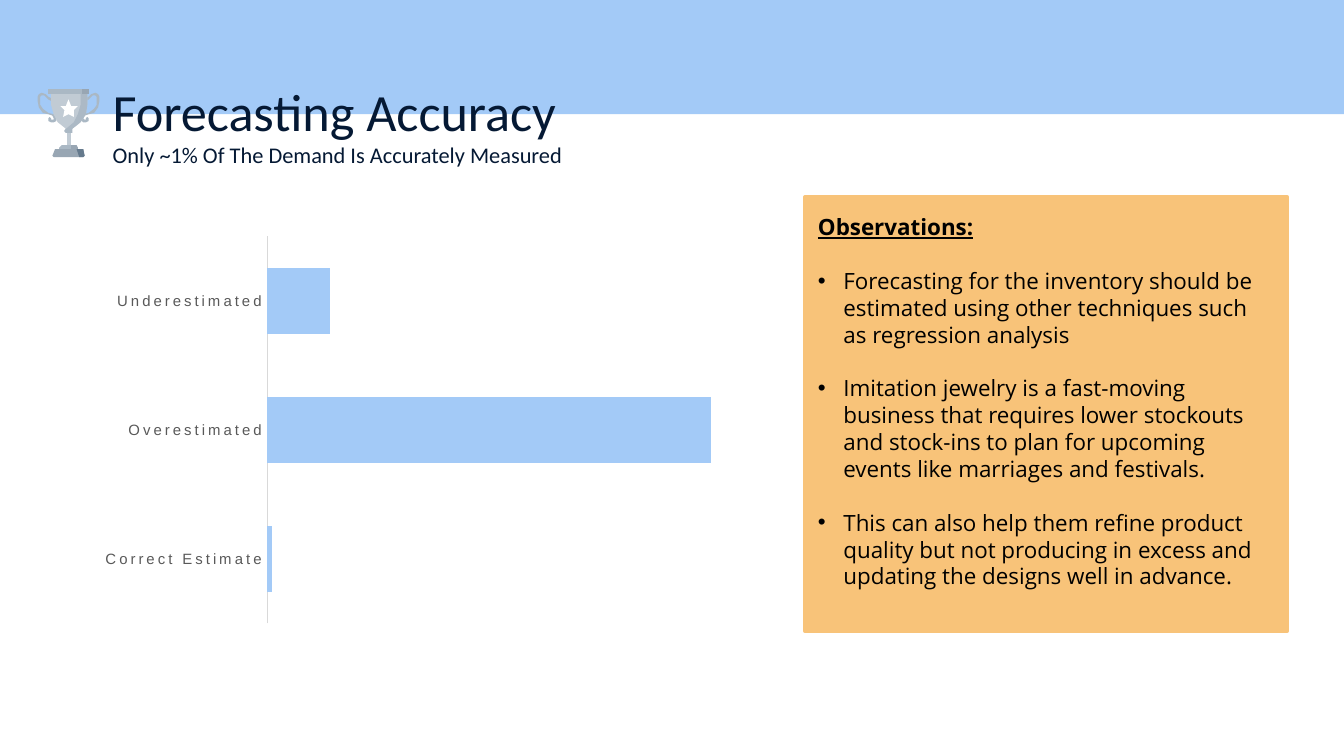
from dataclasses import dataclass

from lxml import etree
from pptx import Presentation
from pptx import util as u
from pptx.chart.data import CategoryChartData
from pptx.dml.color import RGBColor
from pptx.enum import chart as ch, shapes, text
from pptx.oxml.ns import qn

COLORS = {
    "sky": "A3CAF7", "navy": "051934", "amber": "F8C379", "black": "000000",
    "label": "595959", "axis": "D9D9D9", "white": "FFFFFF", "silver": "C1CBD4",
    "shade": "ACB9C5", "rim": "AAB8C4", "steel": "98A6B3", "slate": "657A8D",
}
TROPHY_UNIT = u.Cm(0.0254)  # trophy outlines are drawn on this grid
TROPHY_AXIS = 51.2
LINE_HEIGHT = u.Pt(14.4)
INDENT = u.Cm(0.48)


@dataclass
class Box:
    left: float
    top: float
    width: float
    height: float

    def lengths(self) -> list[u.Cm]:
        return [u.Cm(v) for v in (self.left, self.top, self.width, self.height)]


@dataclass
class TrophyPart:
    color: str
    outline: list[tuple[float, float]]


def rgb(name: str) -> RGBColor:
    return RGBColor.from_string(COLORS[name])


def block(left: float, top: float, right: float, bottom: float) -> list[tuple[float, float]]:
    return [(left, top), (right, top), (right, bottom), (left, bottom)]


def mirrored(outline: list[tuple[float, float]]) -> list[tuple[float, float]]:
    return [(2 * TROPHY_AXIS - x, y) for x, y in outline]


def paint(shape, color: str) -> None:
    shape.shadow.inherit = False
    shape.fill.solid()
    shape.fill.fore_color.rgb = rgb(color)
    shape.line.fill.background()


def add_panel(slide, box: Box, color: str):
    panel = slide.shapes.add_shape(shapes.MSO_SHAPE.RECTANGLE, *box.lengths())
    paint(panel, color)
    return panel


HANDLE = [
    (31, 69), (29, 70), (28, 72), (28, 75), (29, 80), (32, 83.5), (36, 85),
    (39, 86.5), (40, 88), (39.5, 89), (38.5, 89), (38, 88), (37, 87), (36, 88),
    (36.5, 90), (38, 91), (40, 91), (41.5, 90), (42, 87), (40, 85), (36, 83.5),
    (32, 81), (30.3, 78), (30, 75), (30, 72), (31, 71), (33, 71), (35, 73),
    (36, 74.5), (38, 75), (41, 75), (41.5, 74), (41, 73), (38, 73), (36, 72),
    (34, 70),
]
TROPHY = [
    TrophyPart("rim", HANDLE),
    TrophyPart("rim", mirrored(HANDLE)),
    TrophyPart("silver", block(50, 95, 53, 110)),
    TrophyPart("silver", [(38, 68), (38, 78), (39.5, 85), (43, 91), (48, 95), (51, 98),
                          (55, 95), (60, 91), (63.5, 85), (65, 78), (65, 68)]),
    TrophyPart("shade", [(60, 68), (60, 78), (58.5, 85), (55, 91), (49, 96), (51, 98),
                         (55, 95), (60, 91), (63.5, 85), (65, 78), (65, 68)]),
    TrophyPart("rim", block(36, 66, 66, 70)),
    TrophyPart("steel", block(61, 66, 66, 70)),
    TrophyPart("white", [(51.3, 74.5), (53.3, 79), (58, 79.3), (54.7, 82.5), (55.3, 87),
                         (51.3, 85), (47.3, 87), (48, 82.5), (44.7, 79.3), (49.3, 79)]),
    TrophyPart("rim", [(49, 96), (53.5, 96), (54.5, 97), (54.5, 98), (53.5, 99),
                       (49, 99), (48, 98), (48, 97)]),
    TrophyPart("rim", [(46, 108), (56, 108), (58, 110), (58, 112), (44, 112), (44, 110)]),
    TrophyPart("steel", [(53, 108), (57, 108), (58, 110), (58, 112), (53, 112)]),
    TrophyPart("steel", [(41, 111), (62, 111), (63, 116), (62, 117), (40, 117), (39, 116)]),
    TrophyPart("slate", [(57, 111), (62, 111), (63, 116), (62, 117), (59, 117)]),
]
ESTIMATES = {"Correct Estimate": 1, "Overestimated": 100, "Underestimated": 14}
OBSERVATIONS = [
    "Forecasting for the inventory should be estimated using other techniques such as "
    "regression analysis",
    "Imitation jewelry is a fast-moving business that requires lower stockouts and stock-ins "
    "to plan for upcoming events like marriages and festivals.",
    "This can also help them refine product quality but not producing in excess and updating "
    "the designs well in advance.",
]


def add_title(slide, box: Box) -> None:
    heading = slide.shapes.add_textbox(*box.lengths()).text_frame
    heading.word_wrap = True
    heading.margin_left = heading.margin_right = u.Cm(0.25)
    heading.margin_top = heading.margin_bottom = u.Cm(0.25)
    line = heading.paragraphs[0]
    line.font.name = "Calibri"
    line.font.color.rgb = rgb("navy")
    title = line.add_run()
    title.text, title.font.size = "Forecasting Accuracy", u.Pt(28)
    line.add_line_break()
    subtitle = line.add_run()
    subtitle.text = "Only ~1% Of The Demand Is Accurately Measured"
    subtitle.font.size = u.Pt(12)


def add_accuracy_chart(slide, box: Box) -> None:
    estimates = CategoryChartData()
    estimates.categories = list(ESTIMATES)
    estimates.add_series("Series 1", list(ESTIMATES.values()))
    chart = slide.shapes.add_chart(
        ch.XL_CHART_TYPE.BAR_STACKED, *box.lengths(), estimates).chart
    chart.has_legend = chart.has_title = False
    chart.font.name, chart.font.size = "Arial", u.Pt(10)
    chart.font.color.rgb = rgb("black")

    bars = chart.plots[0]
    bars.gap_width, bars.overlap, bars.vary_by_categories = 95, 100, False
    bars.series[0].format.fill.solid()
    bars.series[0].format.fill.fore_color.rgb = rgb("sky")

    values = chart.value_axis
    values.visible = values.has_major_gridlines = False
    values.minimum_scale, values.maximum_scale = 0, 100

    names = chart.category_axis
    names.major_tick_mark = names.minor_tick_mark = ch.XL_TICK_MARK.NONE
    names.has_major_gridlines = False
    names.format.line.color.rgb = rgb("axis")
    names.format.line.width = u.Pt(0.75)
    labels = names.tick_labels.font
    labels.name, labels.size = "Arial", u.Pt(8)
    labels.color.rgb = rgb("label")
    for props in chart.element.xpath("//c:catAx//a:defRPr"):
        props.set("spc", "150")  # letter spacing

    # Fixed inner plot area
    plot_area = chart.element.xpath("//c:plotArea")[0]
    for automatic in plot_area.findall(qn("c:layout")):
        plot_area.remove(automatic)
    layout = etree.Element(qn("c:layout"))
    plot_area.insert(0, layout)
    manual = etree.SubElement(layout, qn("c:manualLayout"))
    for tag, value in (("layoutTarget", "inner"), ("xMode", "edge"), ("yMode", "edge"),
                       ("x", "0.25"), ("y", "0.02"), ("w", "0.66"), ("h", "0.96")):
        etree.SubElement(manual, qn(f"c:{tag}")).set("val", value)


def add_observations(slide, box: Box) -> None:
    panel = add_panel(slide, box, "amber")
    panel.line.color.rgb = rgb("amber")
    panel.line.width = u.Pt(2)
    frame = panel.text_frame
    frame.word_wrap = True
    frame.vertical_anchor = text.MSO_ANCHOR.TOP
    frame.margin_left = frame.margin_right = u.Cm(0.25)
    frame.margin_top = u.Cm(0.3)
    for index, words in enumerate(["Observations:", *OBSERVATIONS]):
        is_heading = index == 0
        line = frame.paragraphs[0] if is_heading else frame.add_paragraph()
        line.text = words
        line.alignment = text.PP_ALIGN.LEFT
        line.line_spacing = LINE_HEIGHT
        if not is_heading:
            line.space_before = LINE_HEIGHT
            props = line._p.get_or_add_pPr()
            props.set("marL", str(INDENT))
            props.set("indent", str(-INDENT))
            etree.SubElement(props, qn("a:buFont")).set("typeface", "Arial")
            etree.SubElement(props, qn("a:buChar")).set("char", "•")
        line.font.name, line.font.size = "Open Sans", u.Pt(12)
        line.font.color.rgb = rgb("black")
        line.font.bold = line.font.underline = is_heading


def add_trophy(slide) -> None:
    trophy = slide.shapes.add_group_shape()
    for part in TROPHY:
        start, *rest = part.outline
        pen = trophy.shapes.build_freeform(*start, scale=TROPHY_UNIT)
        pen.add_line_segments(rest, close=True)
        paint(pen.convert_to_shape(), part.color)


def main() -> None:
    deck = Presentation()
    deck.slide_width, deck.slide_height = u.Cm(25.4), u.Cm(14.29)
    slide = deck.slides.add_slide(deck.slide_layouts[6])
    add_panel(slide, Box(0, 0, 25.4, 2.16), "sky")  # top band
    add_title(slide, Box(1.88, 1.24, 19.63, 1.6))
    add_accuracy_chart(slide, Box(1.88, 4.32, 12.7, 7.62))
    add_observations(slide, Box(15.21, 3.73, 9.12, 8.2))
    add_trophy(slide)
    deck.save("out.pptx")


if __name__ == "__main__":
    main()
